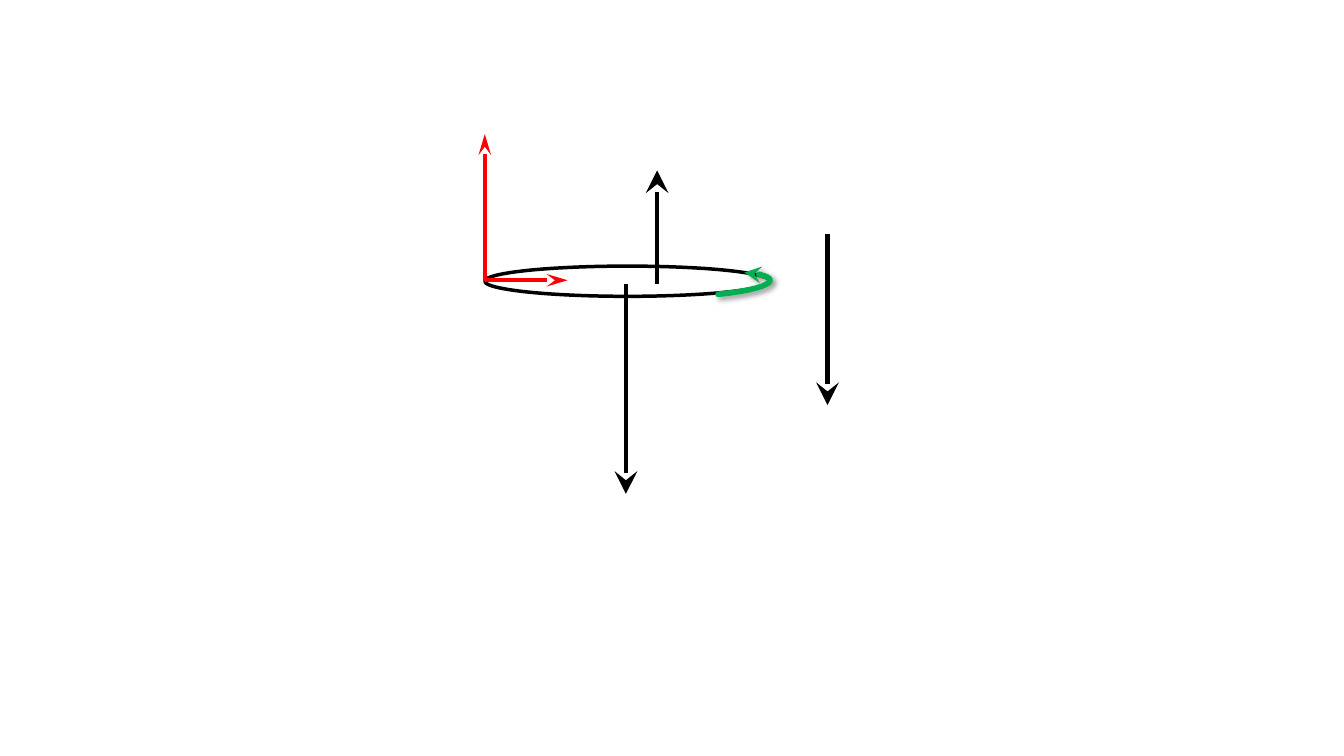
from dataclasses import dataclass

from lxml.etree import SubElement
from pptx import Presentation
from pptx.dml.color import RGBColor
from pptx.enum.shapes import MSO_CONNECTOR, MSO_SHAPE
from pptx.oxml.ns import qn
from pptx.slide import Slide
from pptx.util import Pt

COLORS = {"axis": "FF0000", "force": "000000", "disc": "000000",
          "rotation": "00B050", "shadow": "000000"}


@dataclass
class Arrow:
    start: tuple[float, float]
    end: tuple[float, float]
    role: str
    weight: float
    head_width: str


ARROWS = [
    Arrow((346.3, 200.9), (346.3, 95.8), "axis", 3, "med"),
    Arrow((447.1, 203), (447.1, 352.8), "force", 3.25, "lg"),
    Arrow((469.4, 203), (469.4, 121.7), "force", 3.25, "lg"),
    Arrow((346.3, 200.2), (405.4, 200.2), "axis", 3, "med"),
    Arrow((591.1, 167), (591.1, 289.4), "force", 3.25, "lg"),
]


def style_line(shape, role: str, weight: float) -> None:
    shape.line.color.rgb = RGBColor.from_string(COLORS[role])
    shape.line.width = Pt(weight)


def add_stealth(shape, end: str, width: str, length: str) -> None:
    SubElement(shape.line._get_or_add_ln(), qn(f"a:{end}"),
               type="stealth", w=width, len=length)


def add_arrow(slide: Slide, arrow: Arrow) -> None:
    line = slide.shapes.add_connector(
        MSO_CONNECTOR.STRAIGHT, *(Pt(v) for v in arrow.start + arrow.end))
    style_line(line, arrow.role, arrow.weight)
    add_stealth(line, "tailEnd", arrow.head_width, "lg")
    SubElement(line._element.spPr, qn("a:effectLst"))


def add_outline(slide: Slide, kind: MSO_SHAPE, box: tuple[float, ...],
                role: str, weight: float):
    shape = slide.shapes.add_shape(kind, *(Pt(v) for v in box))
    shape.fill.background()
    shape.shadow.inherit = False
    style_line(shape, role, weight)
    return shape


def add_rotation(slide: Slide) -> None:
    arc = add_outline(slide, MSO_SHAPE.ARC, (493.2, 154.1, 16.6, 97.2), "rotation", 4)
    arc.rotation = 86.9
    arc.adjustments[0] = 154.88
    arc.adjustments[1] = 183.92
    arc.line._get_or_add_ln().set("cap", "rnd")
    add_stealth(arc, "headEnd", "med", "med")
    # Soft shadow below right
    effects = arc._element.spPr.find(qn("a:effectLst"))
    shadow = SubElement(effects, qn("a:outerShdw"), blurRad=str(Pt(4)), dist=str(Pt(3)),
                        dir="2700000", algn="tl", rotWithShape="0")
    color = SubElement(shadow, qn("a:srgbClr"), val=COLORS["shadow"])
    SubElement(color, qn("a:alpha"), val="40000")


def main() -> None:
    deck = Presentation()
    deck.slide_width, deck.slide_height = Pt(960), Pt(540)
    slide = deck.slides.add_slide(deck.slide_layouts[6])

    # Disc seen from the side
    add_outline(slide, MSO_SHAPE.OVAL, (346.3, 190.1, 203.8, 21.6), "disc", 2.5)
    # Axes and forces
    for arrow in ARROWS:
        add_arrow(slide, arrow)
    # Direction of rotation
    add_rotation(slide)

    deck.save("out.pptx")


if __name__ == "__main__":
    main()
